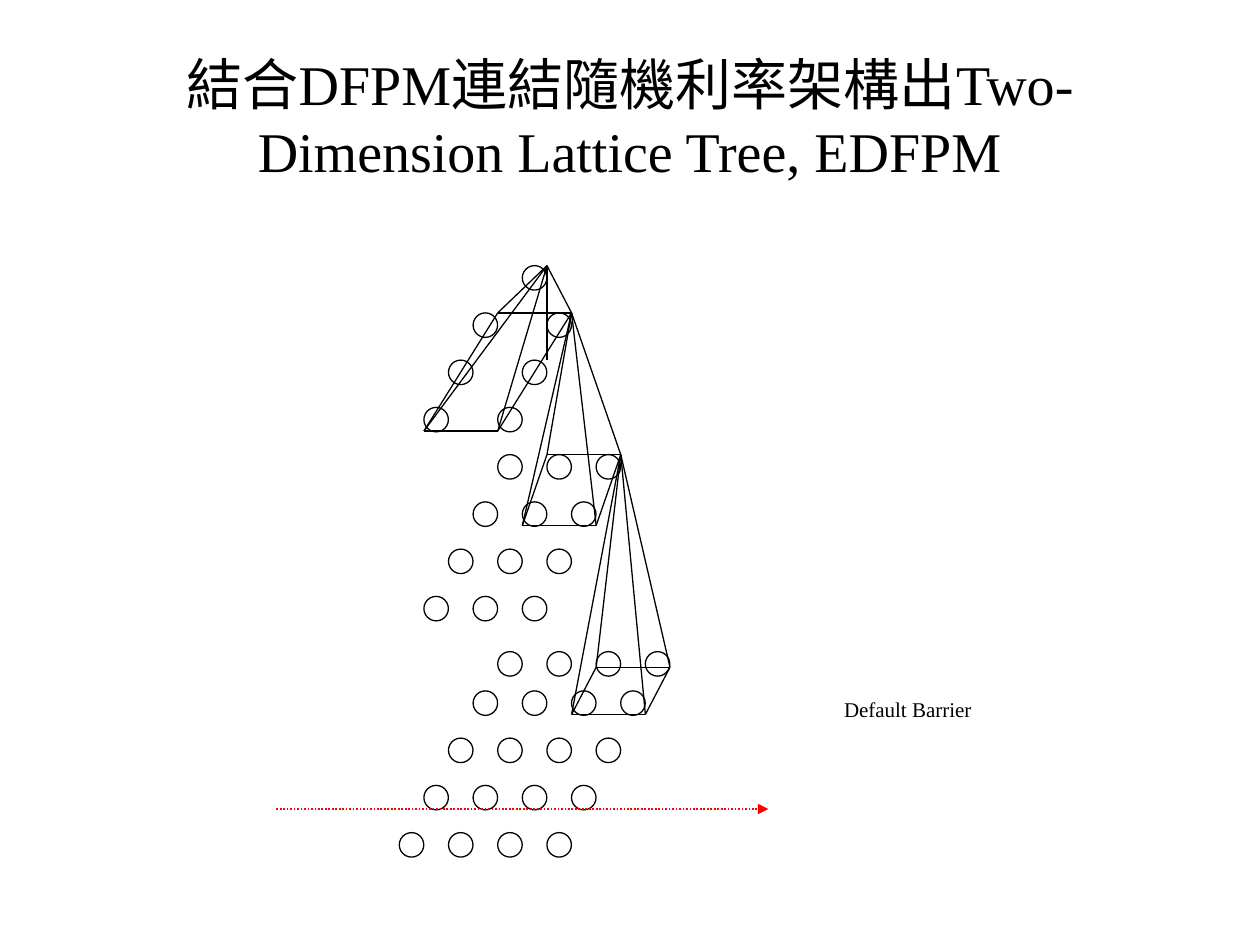
from lxml.etree import SubElement
from pptx import Presentation
from pptx.dml.color import RGBColor
from pptx.enum.dml import MSO_LINE
from pptx.enum.shapes import MSO_CONNECTOR, MSO_SHAPE
from pptx.enum.text import MSO_ANCHOR, MSO_AUTO_SIZE, PP_ALIGN
from pptx.oxml.ns import qn
from pptx.util import Pt

COLORS = {name: RGBColor.from_string(value) for name, value in {
    "black": "000000", "white": "FFFFFF", "red": "FF0000"}.items()}
LATIN_FONT = "Times New Roman"
CHINESE_FONT = "Noto Sans CJK SC"

# Lattice grid: origin, steps and node size
LEFT, TOP = 228.2, 151.8
COLUMN_STEP, ROW_STEP = 14.06, 27
NODE_SIZE = 14


def add_run(paragraph, text, size, font_name):
    run = paragraph.add_run()
    run.text = text
    run.font.size = Pt(size)
    run.font.name = font_name
    run.font.color.rgb = COLORS["black"]
    SubElement(run.font._element, qn("a:ea"), typeface=font_name)


def add_line(start, end, color="black", width=0.75):
    points = [Pt(value) for column, row in (start, end)
              for value in (LEFT + column * COLUMN_STEP, TOP + row * ROW_STEP)]
    connector = slide.shapes.add_connector(MSO_CONNECTOR.STRAIGHT, *points)
    connector.line.color.rgb = COLORS[color]
    connector.line.width = Pt(width)
    SubElement(connector._element.spPr, qn("a:effectLst"))
    return connector


presentation = Presentation()
presentation.slide_width, presentation.slide_height = Pt(720), Pt(540)
slide = presentation.slides.add_slide(presentation.slide_layouts[5])

# Title
title = slide.shapes.title
title.left, title.top, title.width, title.height = Pt(36), Pt(21.6), Pt(648), Pt(90)
title.text_frame.auto_size = MSO_AUTO_SIZE.NONE
title.text_frame.vertical_anchor = MSO_ANCHOR.MIDDLE
paragraph = title.text_frame.paragraphs[0]
paragraph.alignment = PP_ALIGN.CENTER
for text, font_name in [
    ("結合", CHINESE_FONT),
    ("DFPM", LATIN_FONT),
    ("連結隨機利率架構出", CHINESE_FONT),
    ("Two-Dimension Lattice Tree, EDFPM", LATIN_FONT),
]:
    add_run(paragraph, text, 32, font_name)

# Lattice nodes: row, first column, number of nodes, columns between nodes
node_rows = [
    (0, 5, 1, 2),
    (1, 3, 2, 3), (2, 2, 2, 3), (3, 1, 2, 3),
    (4, 4, 3, 2), (5, 3, 3, 2), (6, 2, 3, 2), (7, 1, 3, 2),
    (8.17, 4, 4, 2), (9, 3, 4, 2), (10, 2, 4, 2), (11, 1, 4, 2), (12, 0, 4, 2),
]
for row, first_column, count, spacing in node_rows:
    for index in range(count):
        column = first_column + index * spacing
        node = slide.shapes.add_shape(
            MSO_SHAPE.OVAL, Pt(LEFT + column * COLUMN_STEP),
            Pt(TOP + row * ROW_STEP), Pt(NODE_SIZE), Pt(NODE_SIZE))
        node.shadow.inherit = False
        node.fill.solid()
        node.fill.fore_color.rgb = COLORS["white"]
        node.line.color.rgb = COLORS["black"]
        node.line.width = Pt(0.75)

# Branch pyramids: apex and the four corners of the base, in order
pyramids = [
    ((6, 0), [(4, 1), (7, 1), (4, 3.5), (1, 3.5)]),
    ((7, 1), [(6, 4), (9, 4), (8, 5.5), (5, 5.5)]),
    ((9, 4), [(8, 8.5), (11, 8.5), (10, 9.5), (7, 9.5)]),
]
for apex, corners in pyramids:
    for corner, next_corner in zip(corners, corners[1:] + corners[:1]):
        add_line(corner, next_corner)
        add_line(apex, corner)
add_line((6, 0), (6, 2))

# Default barrier arrow
barrier = add_line((-5, 11.5), (15, 11.5), "red", 1)
barrier.line.dash_style = MSO_LINE.ROUND_DOT
SubElement(barrier.line._get_or_add_ln(), qn("a:tailEnd"), type="triangle")

# Barrier label
label = slide.shapes.add_textbox(Pt(439.2), Pt(394.6), Pt(154.8), Pt(54))
label.fill.solid()
label.fill.fore_color.rgb = COLORS["white"]
label.text_frame.word_wrap = True
paragraph = label.text_frame.paragraphs[0]
properties = paragraph._p.get_or_add_pPr()
properties.set("marL", str(Pt(36)))
properties.set("indent", "0")
paragraph.level = 1
add_run(paragraph, "Default Barrier", 12, LATIN_FONT)

presentation.save("out.pptx")
